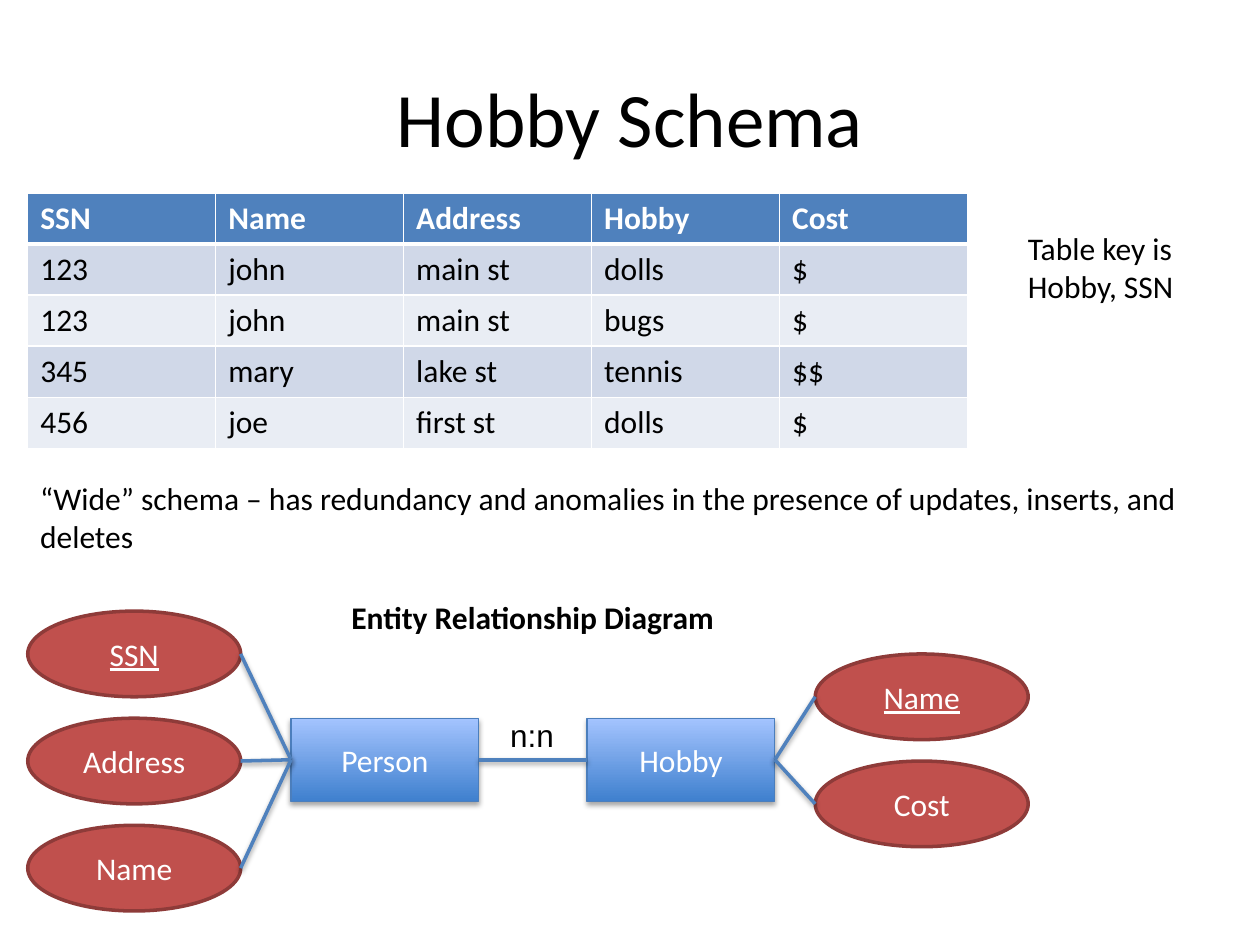
from lxml.etree import SubElement, fromstring
from pptx import Presentation
from pptx.dml.color import RGBColor
from pptx.enum.shapes import MSO_CONNECTOR as Link, MSO_SHAPE as Kind
from pptx.enum.text import MSO_ANCHOR as Anchor, PP_ALIGN as Align
from pptx.oxml.ns import nsdecls, qn
from pptx.util import Inches, Pt

WIDE, HIGH = Inches(10), Inches(7.5)
COLS, ROWS = 100, 75          # layout grid
EDGE = 2.2                    # left margin, in columns
OVAL_W, OVAL_H, STEP = 16.9, 6.8, 8.5
BOX_W, BOX_H, BOX_TOP = 14.9, 6.6, 57
BLACK, WHITE, BLUE = "000000", "FFFFFF", "4F81BD"

DATA = [
    ("SSN", "Name", "Address", "Hobby", "Cost"),
    ("123", "john", "main st", "dolls", "$"),
    ("123", "john", "main st", "bugs", "$"),
    ("345", "mary", "lake st", "tennis", "$$"),
    ("456", "joe", "first st", "dolls", "$"),
]


def col(n):
    return round(WIDE * n / COLS)


def row(n):
    return round(HIGH * n / ROWS)


def area(x, y, w, h):
    return col(x), row(y), col(w), row(h)


def tint(code):
    return RGBColor.from_string(code)


def add_run(para, text, color=BLACK, size=18, face="Calibri", bold=False, under=False):
    run = para.add_run()
    run.text = text
    font = run.font
    font.name, font.size, font.bold, font.underline = face, Pt(size), bold, under
    font.color.rgb = tint(color)


def add_shade(item, alpha, dist):
    """Soft shadow straight below the item."""
    item._element.spPr.append(fromstring(
        f'<a:effectLst {nsdecls("a")}><a:outerShdw blurRad="{Pt(3.1)}" '
        f'dist="{Pt(dist)}" dir="5400000" rotWithShape="0"><a:srgbClr val="{BLACK}">'
        f'<a:alpha val="{alpha * 1000}"/></a:srgbClr></a:outerShdw></a:effectLst>'))


def add_note(slide, place, text, **style):
    frame = slide.shapes.add_textbox(*area(*place)).text_frame
    frame.word_wrap = True
    add_run(frame.paragraphs[0], text, **style)


def add_node(slide, kind, place, text, under=False):
    node = slide.shapes.add_shape(kind, *area(*place))
    frame = node.text_frame
    frame.vertical_anchor = Anchor.MIDDLE
    para = frame.paragraphs[0]
    para.alignment = Align.CENTER
    add_run(para, text, WHITE, under=under)
    return node


def add_box(slide, x, text):
    box = add_node(slide, Kind.RECTANGLE, (x, BOX_TOP, BOX_W, BOX_H), text)
    box.fill.gradient()
    box.fill.gradient_angle = 90
    for stop, color in zip(box.fill.gradient_stops, ("3F80CE", "A4C4FF")):
        stop.color.rgb = tint(color)
    box.line.color.rgb = tint("4B7EBC")
    box.line.width = Pt(0.75)
    add_shade(box, 35, 1.8)
    return box


def add_oval(slide, x, y, text, under):
    oval = add_node(slide, Kind.OVAL, (x, y, OVAL_W, OVAL_H), text, under)
    oval.shadow.inherit = False
    oval.fill.solid()
    oval.fill.fore_color.rgb = tint("C0504D")
    oval.line.color.rgb = tint("8E3B39")
    oval.line.width = Pt(2)


def add_link(slide, box, side, x=0, y=0):
    """Line from a side of a box to a grid point."""
    link = slide.shapes.add_connector(Link.STRAIGHT, 0, 0, col(x), row(y))
    link.begin_connect(box, side)
    link.line.color.rgb = tint(BLUE)
    link.line.width = Pt(2)
    add_shade(link, 38, 1.6)
    return link


def add_traits(slide, box, side, x, y, names):
    """Column of ovals joined to one side of a box; the first is the key."""
    tip = x + OVAL_W if side == 1 else x
    for i, name in enumerate(names):
        top = y + i * STEP
        add_oval(slide, x, top, name, under=i == 0)
        add_link(slide, box, side, tip, top + OVAL_H / 2)


def set_edges(cell, top, low):
    props = cell._tc.get_or_add_tcPr()
    for i, (tag, size) in enumerate(zip(("lnL", "lnR", "lnT", "lnB"), (1, 1, top, low))):
        edge = SubElement(props, qn(f"a:{tag}"), w=str(Pt(size)))
        fill = SubElement(edge, qn("a:solidFill"))
        SubElement(fill, qn("a:srgbClr"), val=WHITE)
        props.insert(i, edge)


def add_grid(slide, place):
    table = slide.shapes.add_table(len(DATA), len(DATA[0]), *area(*place)).table
    for r, line in enumerate(DATA):
        head = r == 0
        shade = BLUE if head else ("E9EDF4", "D0D8E8")[r % 2]
        for c, text in enumerate(line):
            cell = table.cell(r, c)
            cell.fill.solid()
            cell.fill.fore_color.rgb = tint(shade)
            set_edges(cell, 3 if r == 1 else 1, 3 if head else 1)
            add_run(cell.text_frame.paragraphs[0], text, WHITE if head else BLACK, bold=head)


def main():
    deck = Presentation()
    deck.slide_width, deck.slide_height = WIDE, HIGH
    slide = deck.slides.add_slide(deck.slide_layouts[5])

    # Title
    title = slide.shapes.title
    title.left, title.top, title.width, title.height = area(5, 3, 90, 12.5)
    title.text_frame.vertical_anchor = Anchor.MIDDLE
    para = title.text_frame.paragraphs[0]
    para.alignment = Align.CENTER
    add_run(para, "Hobby Schema", size=44)

    # Table and remarks
    add_grid(slide, (EDGE, 15.3, 74.6, 20.3))
    add_note(slide, (EDGE, 37.5, 92.8, 7.1),
             "“Wide” schema – has redundancy and anomalies in the presence "
             "of updates, inserts, and deletes")
    add_note(slide, (80.6, 17.7, 14.4, 7.1), "Table key is Hobby, SSN")

    # Entities with their attributes
    person = add_box(slide, 23.1, "Person")
    hobby = add_box(slide, 46.6, "Hobby")
    add_traits(slide, person, 1, EDGE, 48.5, ("SSN", "Address", "Name"))
    add_traits(slide, hobby, 3, 64.7, 51.9, ("Name", "Cost"))

    # Relationship
    add_link(slide, hobby, 1).end_connect(person, 3)
    add_note(slide, (39.5, 56.3, 7.2, 4), "n:n", face="Arial")
    add_note(slide, (26.9, 47, 30.9, 4), "Entity Relationship Diagram", bold=True)

    deck.save("out.pptx")


if __name__ == "__main__":
    main()
